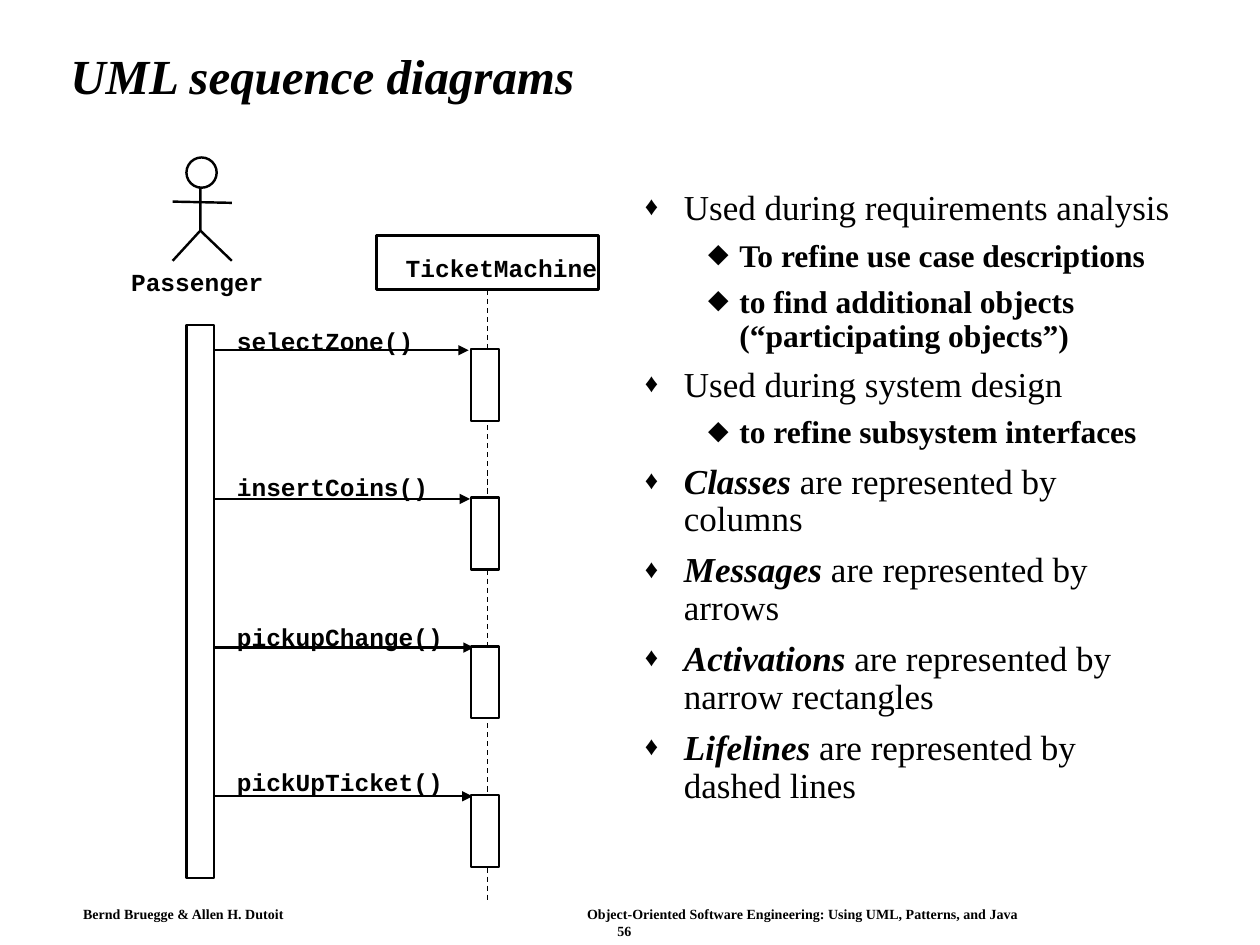
from lxml import etree
from pptx import Presentation
from pptx import util as u
from pptx.dml.color import RGBColor
from pptx.enum import dml, shapes, text
from pptx.oxml.ns import qn

# Content
TITLE = "UML sequence diagrams"
ACTOR, OBJECT = "Passenger", "TicketMachine"
CALLS = [  # message, top of its label, right end of its arrow
    ("selectZone()", 2.59, 3.72),
    ("insertCoins()", 3.75, 3.73),
    ("pickupChange()", 4.94, 3.76),
    ("pickUpTicket()", 6.09, 3.75),
]
POINTS = [  # level, emphasised lead, rest
    (0, "", "Used during requirements analysis"),
    (1, "", "To refine use case descriptions"),
    (1, "", "to find additional objects (“participating objects”)"),
    (0, "", "Used during system design"),
    (1, "", "to refine subsystem interfaces"),
    (0, "Classes", " are represented by columns"),
    (0, "Messages", " are represented by arrows"),
    (0, "Activations", " are represented by narrow rectangles"),
    (0, "Lifelines", " are represented by dashed lines"),
]
FOOTER = [  # left, top, width, text
    (0.66, 7.19, 1.7, "Bernd Bruegge & Allen H. Dutoit"),
    (4.66, 7.19, 3.6, "Object-Oriented Software Engineering: Using UML, Patterns, and Java"),
    (4.9, 7.32, 0.3, "56"),
]

# Theme
THEME = dict(
    ink=RGBColor(0, 0, 0), paper=RGBColor(255, 255, 255),
    serif="Times New Roman", mono="Courier New",
    title=28, code=14, foot=8, line=1.39, thin=0.75,
)
LEVELS = [  # type size, bold, space before, left indent, hanging, bullet, bullet size
    dict(size=20, bold=False, gap=7.5, left=0.31, hang=0.31, mark="♦", scale=75),
    dict(size=18, bold=True, gap=6.8, left=0.75, hang=0.25, mark="⬥", scale=100),
]

# Layout of the diagram
BAR_W, BAR_H, BAR_X = 0.22, 0.57, 3.74
BAR_TOP, STEP = 2.77, 1.18
ACTOR_X, ACTOR_TOP, ACTOR_H = 1.48, 2.58, 4.39

prs = Presentation()
prs.slide_width, prs.slide_height = u.Inches(10), u.Inches(7.5)
slide = prs.slides.add_slide(prs.slide_layouts[6])
items = slide.shapes


def inch(*vals):
    return [u.Inches(v) for v in vals]


def style(run, size, font=THEME["serif"], bold=True, italic=False):
    run.font.size, run.font.name = u.Pt(size), font
    run.font.bold, run.font.italic = bold, italic
    run.font.color.rgb = THEME["ink"]


def frame(box, pad=(0, 0), wrap=False):
    tf = items.add_textbox(*inch(*box)).text_frame
    tf.margin_left = tf.margin_right = u.Inches(pad[0])
    tf.margin_top = tf.margin_bottom = u.Inches(pad[1])
    tf.word_wrap = wrap
    return tf


def label(words, box, size, font=THEME["serif"]):
    tf = frame(box)
    tf.text = words
    style(tf.paragraphs[0].runs[0], size, font)


def code(words, x, y):
    label(words, (x, y, 0.117 * len(words), 0.23), THEME["code"], THEME["mono"])


def outline(shape, fill=True):
    shape.shadow.inherit = False
    if fill:
        shape.fill.solid()
        shape.fill.fore_color.rgb = THEME["paper"]
    else:
        shape.fill.background()
    shape.line.color.rgb = THEME["ink"]
    shape.line.width = u.Pt(THEME["line"])
    return shape


def block(kind, *box, fill=True):
    return outline(items.add_shape(kind, *inch(*box)), fill)


def line(x1, y1, x2, y2, width=THEME["line"], arrow=False):
    link = items.add_connector(shapes.MSO_CONNECTOR.STRAIGHT, *inch(x1, y1, x2, y2))
    link.line.color.rgb = THEME["ink"]
    link.line.width = u.Pt(width)
    if arrow:
        etree.SubElement(link.line._get_or_add_ln(), qn("a:tailEnd"), type="triangle")
    etree.SubElement(link._element.spPr, qn("a:effectLst"))
    return link


def bullet(para, spec):
    props = para._p.get_or_add_pPr()
    props.set("marL", str(u.Inches(spec["left"])))
    props.set("indent", str(-u.Inches(spec["hang"])))
    tint = etree.SubElement(props, qn("a:buClr"))
    etree.SubElement(tint, qn("a:srgbClr"), val=str(THEME["ink"]))
    etree.SubElement(props, qn("a:buSzPct"), val=str(spec["scale"] * 1000))
    etree.SubElement(props, qn("a:buFont"), typeface=THEME["serif"])
    etree.SubElement(props, qn("a:buChar"), char=spec["mark"])


# Title
tf = frame((0.46, 0.24, 8.92, 0.77), (0.1, 0.05), True)
tf.vertical_anchor = text.MSO_ANCHOR.MIDDLE
tf.text = TITLE
tf.paragraphs[0].line_spacing = 0.9
style(tf.paragraphs[0].runs[0], THEME["title"], italic=True)

# Bullet list
tf = frame((5.02, 1.46, 4.43, 5.25), (0.1, 0.05), True)
for i, (level, lead, rest) in enumerate(POINTS):
    spec = LEVELS[level]
    para = tf.paragraphs[0] if i == 0 else tf.add_paragraph()
    para.level, para.line_spacing = level, 0.9
    para.space_before = u.Pt(spec["gap"])
    bullet(para, spec)
    for words, strong in ((lead, True), (rest, False)):
        if words:
            run = para.add_run()
            run.text = words
            style(run, spec["size"], bold=strong or spec["bold"], italic=strong)

# Actor: body with left leg, right leg, arms, head
pen = items.build_freeform(*inch(1.59, 1.42))
pen.add_line_segments([inch(1.59, 1.83), inch(1.37, 2.07)], close=False)
outline(pen.convert_to_shape(), fill=False)
line(1.59, 1.83, 1.84, 2.07)
line(1.37, 1.6, 1.84, 1.61)
block(shapes.MSO_SHAPE.OVAL, 1.48, 1.25, 0.24, 0.24)
code(ACTOR, 1.04, 2.12)

# Object and its lifeline
RECT = shapes.MSO_SHAPE.RECTANGLE
head = block(RECT, 2.99, 1.87, 1.76, 0.43, fill=False)
code(OBJECT, 3.22, 2.01)
life = line(3.87, 2.3, 3.87, 7.14, THEME["thin"])
life.line.dash_style = dml.MSO_LINE.DASH
life.begin_connect(head, 2)

# Activations and messages
block(RECT, ACTOR_X, ACTOR_TOP, BAR_W, ACTOR_H)
for i, (call, top, end) in enumerate(CALLS):
    y = BAR_TOP + i * STEP
    line(ACTOR_X + BAR_W, y + 0.01, end, y + 0.01, arrow=True)
    block(RECT, BAR_X, y, BAR_W, BAR_H)
    code(call, 1.88, top)

# Footer
for x, y, w, words in FOOTER:
    label(words, (x, y, w, 0.13), THEME["foot"])

prs.save("out.pptx")
